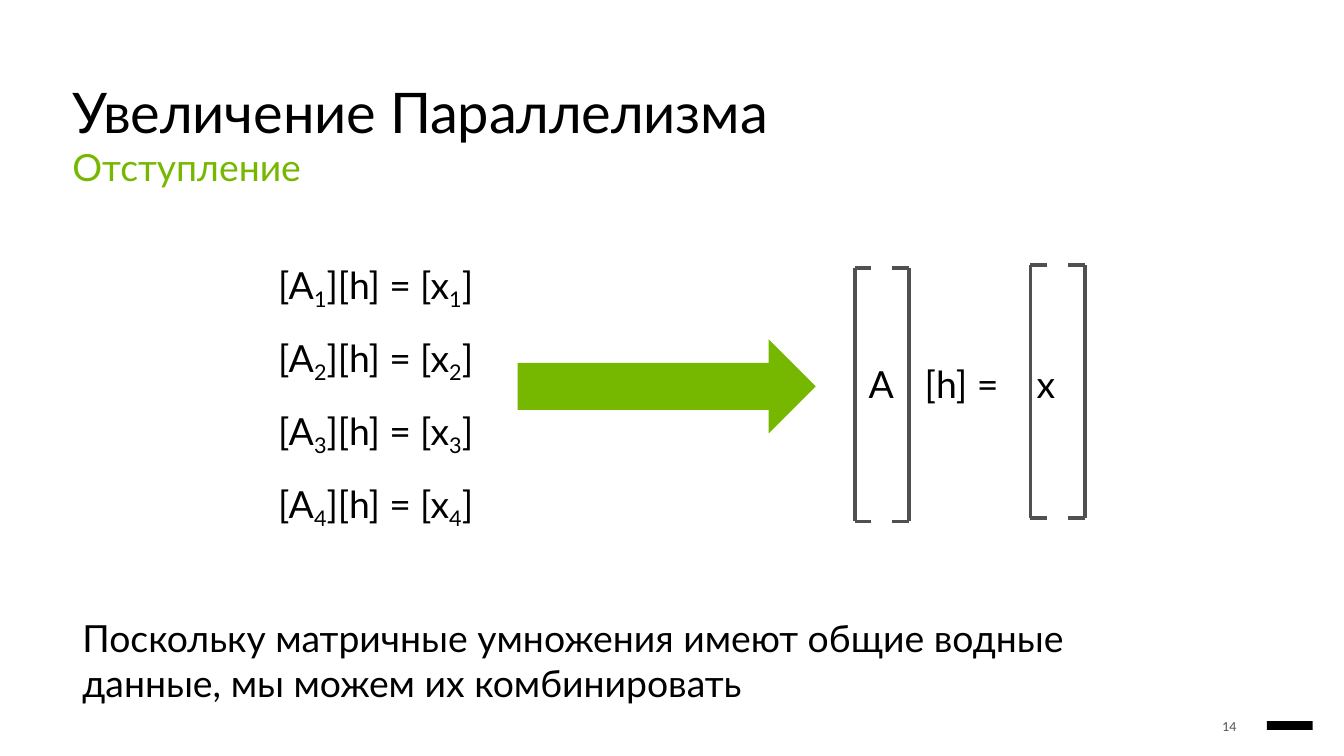
from lxml.etree import SubElement
from pptx import Presentation
from pptx.dml.color import RGBColor
from pptx.enum.shapes import MSO_CONNECTOR, MSO_SHAPE
from pptx.enum.text import MSO_ANCHOR, MSO_AUTO_SIZE, PP_ALIGN
from pptx.oxml.ns import qn
from pptx.util import Cm, Pt

FONT = "Lato"
BLACK, GREEN, GRAY = "000000", "76B800", "505050"
SUBSCRIPT = "-21000"
TIGHT = "-10"


def color(hex_string):
    return RGBColor.from_string(hex_string)


def place(box, left, top, width, height):
    box.left, box.top = Cm(left), Cm(top)
    box.width, box.height = Cm(width), Cm(height)


def prepare_frame(box, top_inset=0.03):
    frame = box.text_frame
    frame.word_wrap = True
    frame.auto_size = MSO_AUTO_SIZE.NONE
    frame.vertical_anchor = MSO_ANCHOR.TOP
    frame.margin_left = frame.margin_right = frame.margin_bottom = 0
    frame.margin_top = Cm(top_inset)
    return frame


def next_paragraph(frame, space_before=1, indent=0.04):
    """Use the empty first paragraph, then append; no bullet."""
    first = frame.paragraphs[0]
    para = frame.add_paragraph() if first.runs else first
    para.alignment = PP_ALIGN.LEFT
    para.space_before = Pt(space_before)
    properties = para._p.get_or_add_pPr()
    properties.set("marL", str(Cm(indent)))
    properties.set("indent", "0")
    SubElement(properties, qn("a:buNone"))
    return para


def add_span(para, text, size=24, hex_color=BLACK, baseline="0", spacing="0"):
    span = para.add_run()
    span.text = text
    span.font.name = FONT
    span.font.size = Pt(size)
    span.font.color.rgb = color(hex_color)
    span.font._element.set("baseline", baseline)
    span.font._element.set("spc", spacing)


def add_text(page, text, left, top, width, height, size=24,
             hex_color=BLACK, space_before=1, indent=0.04):
    box = page.shapes.add_textbox(Cm(left), Cm(top), Cm(width), Cm(height))
    para = next_paragraph(prepare_frame(box), space_before, indent)
    add_span(para, text, size, hex_color)
    return para


def set_tabs(para, *positions):
    tab_list = SubElement(para._p.get_or_add_pPr(), qn("a:tabLst"))
    for position in positions:
        SubElement(tab_list, qn("a:tab"), pos=str(Cm(position)), algn="l")


def fill_title(box, title, subtitle):
    place(box, 1.6, 1.73, 16.89, 2.59)
    frame = prepare_frame(box)
    for text, size, hex_color, line_height, before, spacing in (
            (title, 36, BLACK, 43, 1, TIGHT),
            (subtitle, 24, GREEN, 28.6, 0, "0")):
        para = next_paragraph(frame, before)
        para.line_spacing = Pt(line_height)
        add_span(para, text, size, hex_color, spacing=spacing)


def fill_equations(box, count):
    place(box, 6.27, 5.38, 4.88, 6.27)
    frame = prepare_frame(box, 0.56)
    for number in range(1, count + 1):
        para = next_paragraph(frame, 16.1 if number == 1 else 15.2)
        for text, baseline in (("[A", "0"), (str(number), SUBSCRIPT),
                               ("][h] = [x", "0"), (str(number), SUBSCRIPT),
                               ("]", "0")):
            add_span(para, text, baseline=baseline, spacing=TIGHT)


def add_solid(page, kind, hex_color, left, top, width, height):
    shape = page.shapes.add_shape(kind, Cm(left), Cm(top), Cm(width), Cm(height))
    shape.shadow.inherit = False
    shape.fill.solid()
    shape.fill.fore_color.rgb = color(hex_color)
    shape.line.fill.background()


def add_line(page, start_x, start_y, end_x, end_y):
    line = page.shapes.add_connector(
        MSO_CONNECTOR.STRAIGHT, Cm(start_x), Cm(start_y), Cm(end_x), Cm(end_y))
    line.line.color.rgb = color(GRAY)
    line.line.width = Pt(2.52)
    SubElement(line._element.spPr, qn("a:effectLst"))


def add_brackets(page, left, top, width=1.24, height=5.75, tick=0.38):
    """Draw a pair of tall square brackets facing each other."""
    right, bottom = left + width, top + height
    for edge in (left, right):
        add_line(page, edge, top, edge, bottom)
    for level in (top, bottom):
        add_line(page, left + tick, level, left, level)
        add_line(page, right, level, right - tick, level)


def main():
    deck = Presentation()
    deck.slide_width, deck.slide_height = Cm(30.48), Cm(17.15)
    page = deck.slides.add_slide(deck.slide_layouts[1])

    fill_title(page.shapes.title, "Увеличение Параллелизма", "Отступление")
    fill_equations(page.placeholders[1], 4)
    add_solid(page, MSO_SHAPE.RIGHT_ARROW, GREEN, 11.74, 7.7, 6.76, 2.13)

    product = add_text(page, "A\t[h] =\tx", 19.66, 8.17, 4.57, 1.09)
    set_tabs(product, 1.85, 4.41)
    add_brackets(page, 19.38, 6.08)
    add_brackets(page, 23.37, 6.01)

    add_text(page, "Поскольку матричные умножения имеют общие водные данные, "
             "мы можем их комбинировать", 1.83, 13.92, 24.59, 2.08)
    add_text(page, "14", 27.64, 16.28, 0.43, 0.41, size=8, hex_color=GRAY,
             space_before=0.6, indent=0.08)
    add_solid(page, MSO_SHAPE.RECTANGLE, BLACK, 28.73, 16.36, 1.04, 0.2)
    deck.save("out.pptx")


if __name__ == "__main__":
    main()
